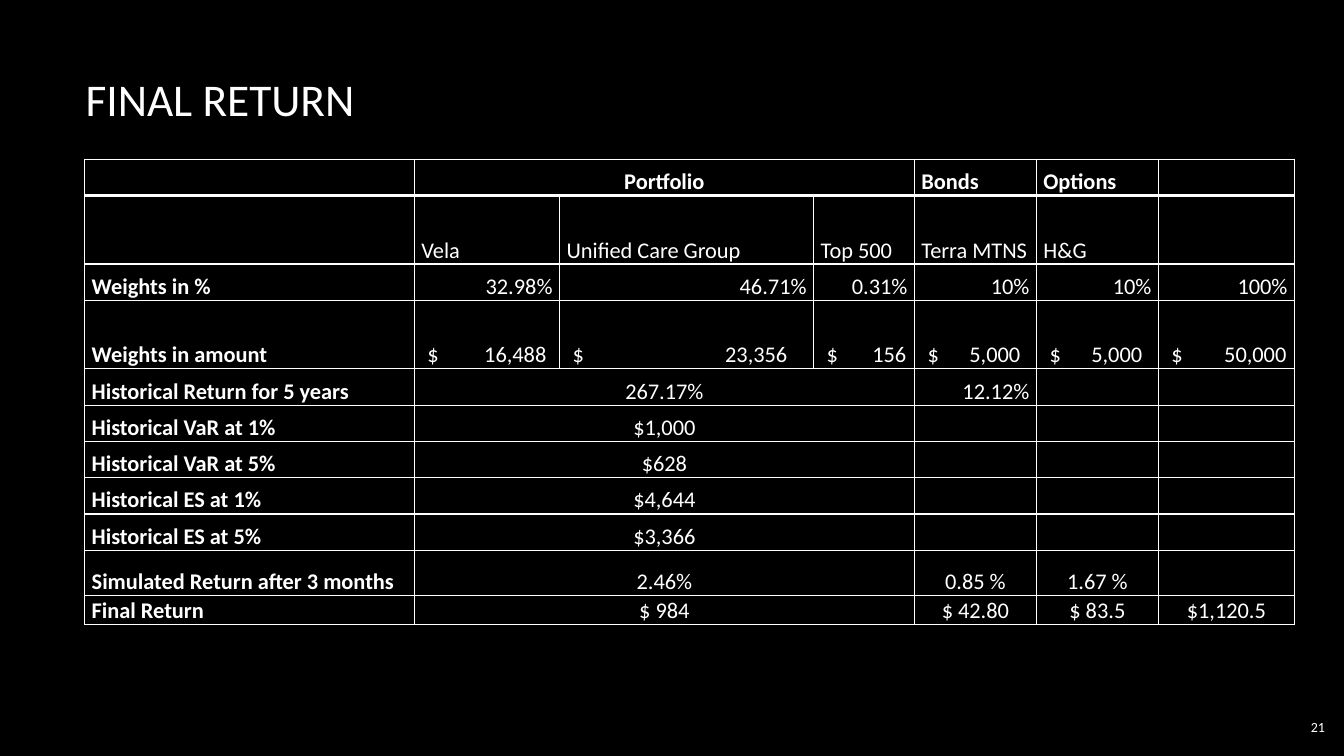
from lxml import etree
from pptx import Presentation
from pptx import util as u
from pptx.dml.color import RGBColor
from pptx.enum import text
from pptx.oxml import ns

COLORS = {"back": "000000", "ink": "FFFFFF"}
FONT = "Calibri"
TITLE = "FINAL RETURN"
PAGE = "21"

COL_WIDTHS = [3.27, 1.44, 2.52, 1, 1.21, 1.21, 1.35]
AMOUNT_TABS = [None, 1.18, 2.13, 0.79, 0.92, 0.92, 1.14]
MERGED = (1, 3)  # first and last portfolio columns

# height, alignment of the value cells, portfolio merged, cell texts
ROWS = [
    (0.36, "l", True, ["", "Portfolio", "", "", "Bonds", "Options", ""]),
    (0.68, "l", False, ["", "Vela", "Unified Care Group", "Top 500", "Terra MTNS", "H&G", ""]),
    (0.36, "r", False, ["Weights in %", "32.98%", "46.71%", "0.31%", "10%", "10%", "100%"]),
    (0.68, "tab", False, ["Weights in amount", "$\t16,488", "$\t23,356", "$\t156",
                          "$\t5,000", "$\t5,000", "$\t50,000"]),
    (0.36, "r", True, ["Historical Return for 5 years", "267.17%", "", "", "12.12%", "", ""]),
    (0.36, "c", True, ["Historical VaR at 1%", "$1,000", "", "", "", "", ""]),
    (0.36, "c", True, ["Historical VaR at 5%", "$628", "", "", "", "", ""]),
    (0.36, "c", True, ["Historical ES at 1%", "$4,644", "", "", "", "", ""]),
    (0.36, "c", True, ["Historical ES at 5%", "$3,366", "", "", "", "", ""]),
    (0.45, "c", True, ["Simulated Return after 3 months", "2.46%", "", "", "0.85 %", "1.67 %", ""]),
    (0.27, "c", True, ["Final Return", "$ 984", "", "", "$ 42.80", "$ 83.5", "$1,120.5"]),
]

ALIGN = {"l": text.PP_ALIGN.LEFT, "tab": text.PP_ALIGN.LEFT,
         "c": text.PP_ALIGN.CENTER, "r": text.PP_ALIGN.RIGHT}


def style(p, size, bold=False):
    for r in p.runs:
        r.font.name = FONT
        r.font.size = u.Pt(size)
        r.font.bold = bold
        r.font.color.rgb = RGBColor.from_string(COLORS["ink"])


def add_text(s, box, words, size, align):
    tf = s.shapes.add_textbox(*map(u.Inches, box)).text_frame
    tf.word_wrap = True
    tf.vertical_anchor = text.MSO_ANCHOR.MIDDLE
    p = tf.paragraphs[0]
    p.text = words
    p.alignment = ALIGN[align]
    style(p, size)


def add_borders(cell, top, bottom):
    tcPr = cell._tc.get_or_add_tcPr()
    for side, width in (("L", 1), ("R", 1), ("T", top), ("B", bottom)):
        ln = etree.SubElement(tcPr, ns.qn(f"a:ln{side}"), w=str(u.Pt(width)))
        fill = etree.SubElement(ln, ns.qn("a:solidFill"))
        etree.SubElement(fill, ns.qn("a:srgbClr"), val=COLORS["ink"])


def add_right_tab(p, position):
    tabs = etree.SubElement(p._p.get_or_add_pPr(), ns.qn("a:tabLst"))
    etree.SubElement(tabs, ns.qn("a:tab"), pos=str(u.Inches(position)), algn="r")


def fill_cell(cell, words, align, bold, tab):
    cell.margin_top = cell.margin_bottom = 0
    cell.margin_left = u.Inches(0.13 if tab else 0.07)
    cell.margin_right = u.Inches(0 if tab else 0.07)
    cell.vertical_anchor = text.MSO_ANCHOR.BOTTOM
    cell.fill.solid()
    cell.fill.fore_color.rgb = RGBColor.from_string(COLORS["back"])
    if words:
        p = cell.text_frame.paragraphs[0]
        p.text = words
        p.alignment = ALIGN[align]
        p.line_spacing = 1.07
        if tab:
            add_right_tab(p, tab)
        style(p, 16, bold)


def add_return_table(s):
    heights = [row[0] for row in ROWS]
    box = (0.84, 1.58, sum(COL_WIDTHS), sum(heights))
    table = s.shapes.add_table(len(ROWS), len(COL_WIDTHS), *map(u.Inches, box)).table
    table.first_row = table.horz_banding = False
    for col, width in zip(table.columns, COL_WIDTHS):
        col.width = u.Inches(width)
    for i, (height, row_align, merged, cells) in enumerate(ROWS):
        table.rows[i].height = u.Inches(height)
        if merged:
            table.cell(i, MERGED[0]).merge(table.cell(i, MERGED[1]))
        for j, words in enumerate(cells):
            cell = table.cell(i, j)
            add_borders(cell, 3 if i == 1 else 1, 3 if i == 0 else 1)
            align = "l" if j == 0 else "c" if merged and j == MERGED[0] else row_align
            tab = AMOUNT_TABS[j] if align == "tab" else None
            fill_cell(cell, words, align, i == 0 or j == 0, tab)


def main():
    prs = Presentation()
    prs.slide_width, prs.slide_height = u.Inches(13.33), u.Inches(7.5)
    s = prs.slides.add_slide(prs.slide_layouts[6])
    s.background.fill.solid()
    s.background.fill.fore_color.rgb = RGBColor.from_string(COLORS["back"])
    add_text(s, (0.75, 0.67, 11.08, 0.61), TITLE, 32.4, "l")
    add_return_table(s)
    add_text(s, (12.64, 7.01, 0.6, 0.41), PAGE, 10, "r")
    prs.save("out.pptx")


if __name__ == "__main__":
    main()
